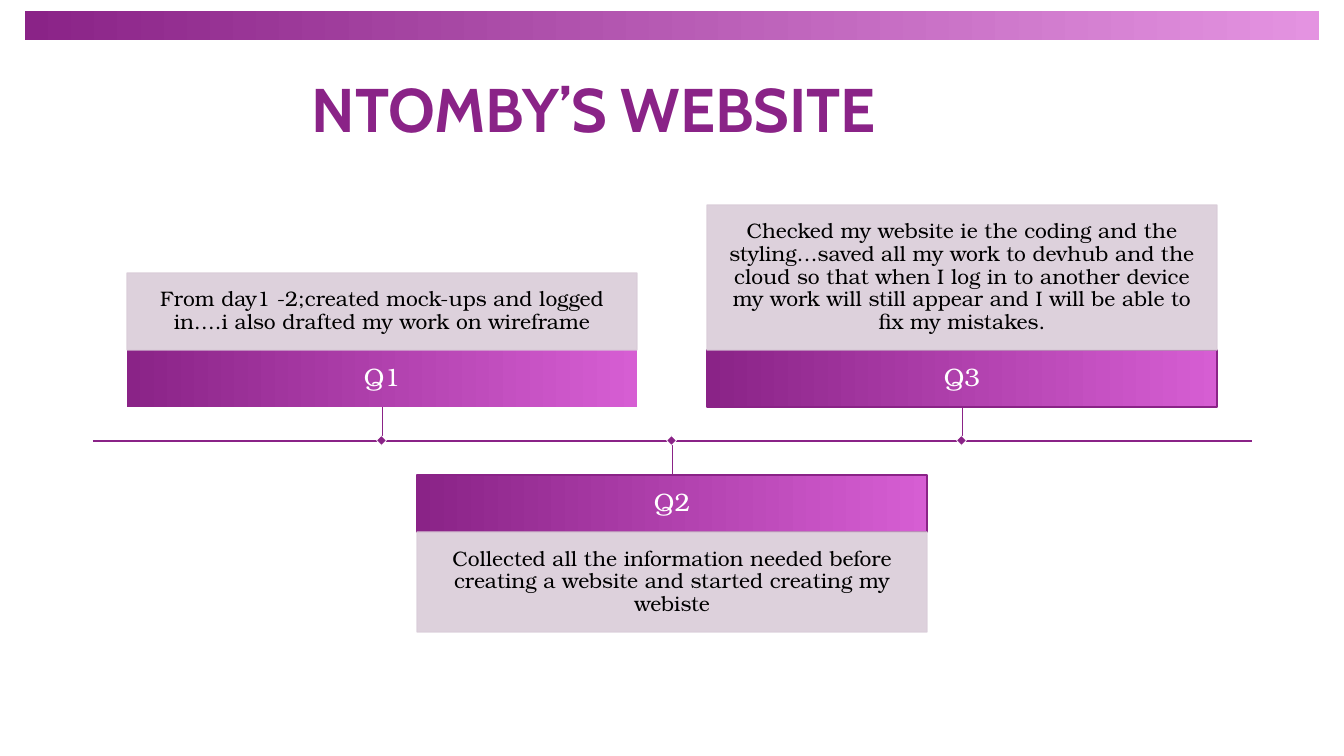
from lxml.etree import SubElement
from pptx import Presentation
from pptx.dml.color import RGBColor
from pptx.enum.shapes import MSO_CONNECTOR, MSO_SHAPE
from pptx.enum.text import MSO_ANCHOR, PP_ALIGN
from pptx.oxml.ns import qn
from pptx.util import Emu, Pt

PLUM, PINK, PALE = "8A2387", "D65ED3", "DACDD9"
WHITE, BLACK = "FFFFFF", "000000"
HEAD, BODY = "Cabin", "TeX Gyre Bonum"


def px(num):
    return Emu(round(num * 914400 / 100.8))


def hue(code):
    return RGBColor.from_string(code)


class Deck:
    """Holds the current slide and the style of its elements."""

    def __init__(self):
        self.show = Presentation()
        self.show.slide_width = px(1344)
        self.show.slide_height = px(756)
        self.slide = self.show.slides.add_slide(self.show.slide_layouts[5])

    def label(self, shape, text, size, font, color, pad=10, bold=False):
        frame = shape.text_frame
        frame.word_wrap = True
        frame.vertical_anchor = MSO_ANCHOR.MIDDLE
        frame.margin_left = frame.margin_right = px(pad)
        frame.margin_top = frame.margin_bottom = px(pad)
        para = frame.paragraphs[0]
        para.alignment = PP_ALIGN.CENTER
        para.line_spacing = 0.9
        run = para.add_run()
        run.text = text
        run.font.size = Pt(size)
        run.font.name = font
        run.font.bold = bold
        run.font.color.rgb = hue(color)

    def title(self, text, x, y, w, h):
        shape = self.slide.shapes.title
        shape.left, shape.top, shape.width, shape.height = map(px, (x, y, w, h))
        self.label(shape, text, 44, HEAD, PLUM, bold=True)

    def rect(self, x, y, w, h, fill, edge=None, wide=1, end=None):
        shape = self.slide.shapes.add_shape(
            MSO_SHAPE.RECTANGLE, *map(px, (x, y, w, h)))
        shape.shadow.inherit = False
        if end:
            shape.fill.gradient()
            shape.fill.gradient_angle = 0
            for stop, code in zip(shape.fill.gradient_stops, (fill, end)):
                stop.color.rgb = hue(code)
        else:
            shape.fill.solid()
            shape.fill.fore_color.rgb = hue(fill)
        if edge:
            shape.line.color.rgb = hue(edge)
            shape.line.width = Pt(wide)
        else:
            shape.line.fill.background()
        return shape

    def fade(self, shape, part):
        for tone in shape.element.spPr.iter(qn("a:srgbClr")):
            SubElement(tone, qn("a:alpha"), val=str(part * 1000))

    def line(self, x, y, right, low, wide):
        line = self.slide.shapes.add_connector(
            MSO_CONNECTOR.STRAIGHT, *map(px, (x, y, right, low)))
        line.line.color.rgb = hue(PLUM)
        line.line.width = Pt(wide)
        SubElement(line.element.spPr, qn("a:effectLst"))

    def card(self, mid, axis, name, text, tall, above, edge):
        wide, bar, stem = 510, 57, 34
        left = mid - wide // 2
        top = axis - stem - bar if above else axis + stem
        head = self.rect(left, top, wide, bar, PLUM, edge, end=PINK)
        self.label(head, name, 18, BODY, WHITE)
        start = top - tall if above else top + bar
        box = self.rect(left, start, wide, tall, PALE, PALE)
        self.fade(box, 90)
        self.label(box, text, 15, BODY, BLACK, pad=16)
        self.line(mid, axis, mid, axis - stem if above else axis + stem, 0.5)

    def mark(self, mid, axis):
        size = 7
        dot = self.rect(mid - 4, axis - 4, size, size, PLUM, WHITE, 0.5)
        dot.rotation = 45


deck = Deck()
deck.rect(25, 11, 1294, 29, PLUM, end="E493E1")
deck.title("NTOMBY’S WEBSITE", 93, 40, 1002, 146)
axis = 441
deck.line(93, axis, 1252, axis, 1)
steps = [
    ("Q1", "From day1 -2;created mock-ups and logged in….i also drafted "
     "my work on wireframe", 77, None),
    ("Q2", "Collected all the information needed before creating a website "
     "and started creating my webiste", 100, PLUM),
    ("Q3", "Checked my website ie the coding and the styling…saved all my "
     "work to devhub and the cloud so that when I log in to another device "
     "my work will still appear and I will be able to fix my mistakes.",
     145, PLUM),
]
for spot, (name, text, tall, edge) in enumerate(steps):
    mid = 382 + 290 * spot
    deck.card(mid, axis, name, text, tall, spot % 2 == 0, edge)
    deck.mark(mid, axis)
deck.show.save("out.pptx")
